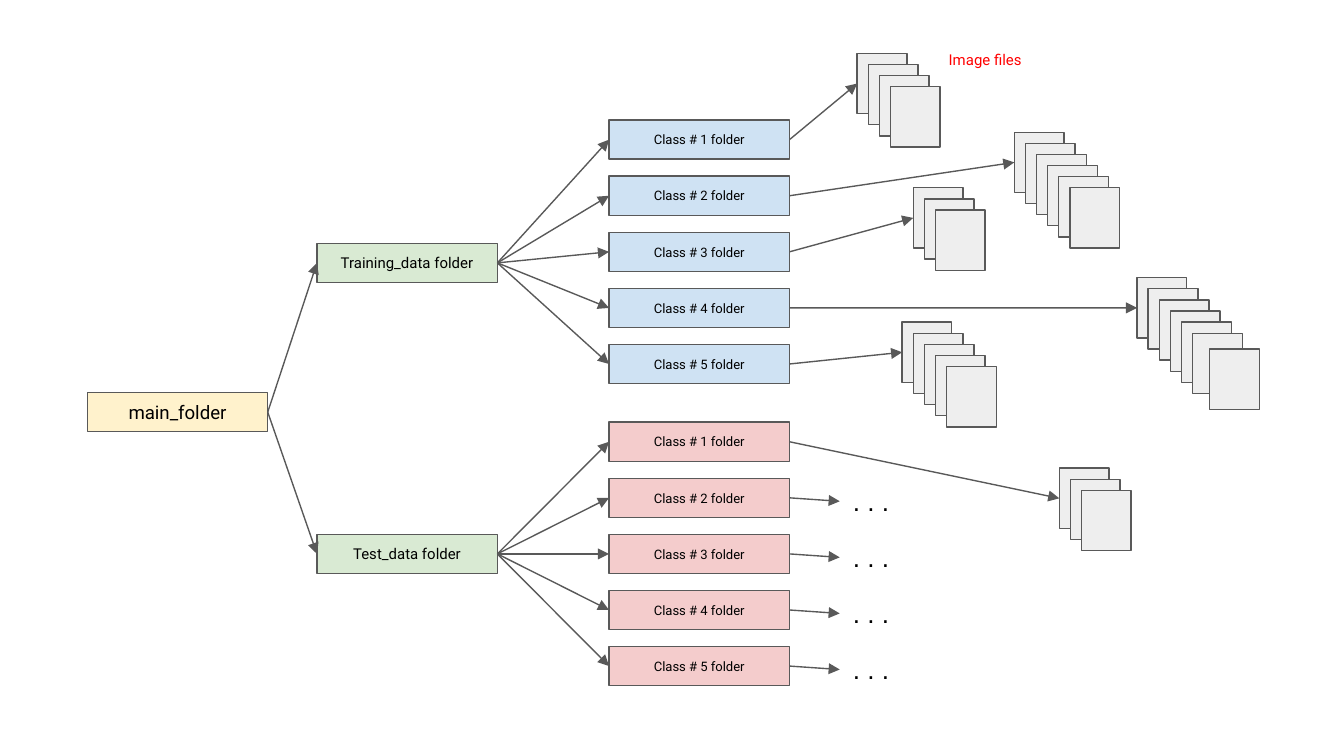
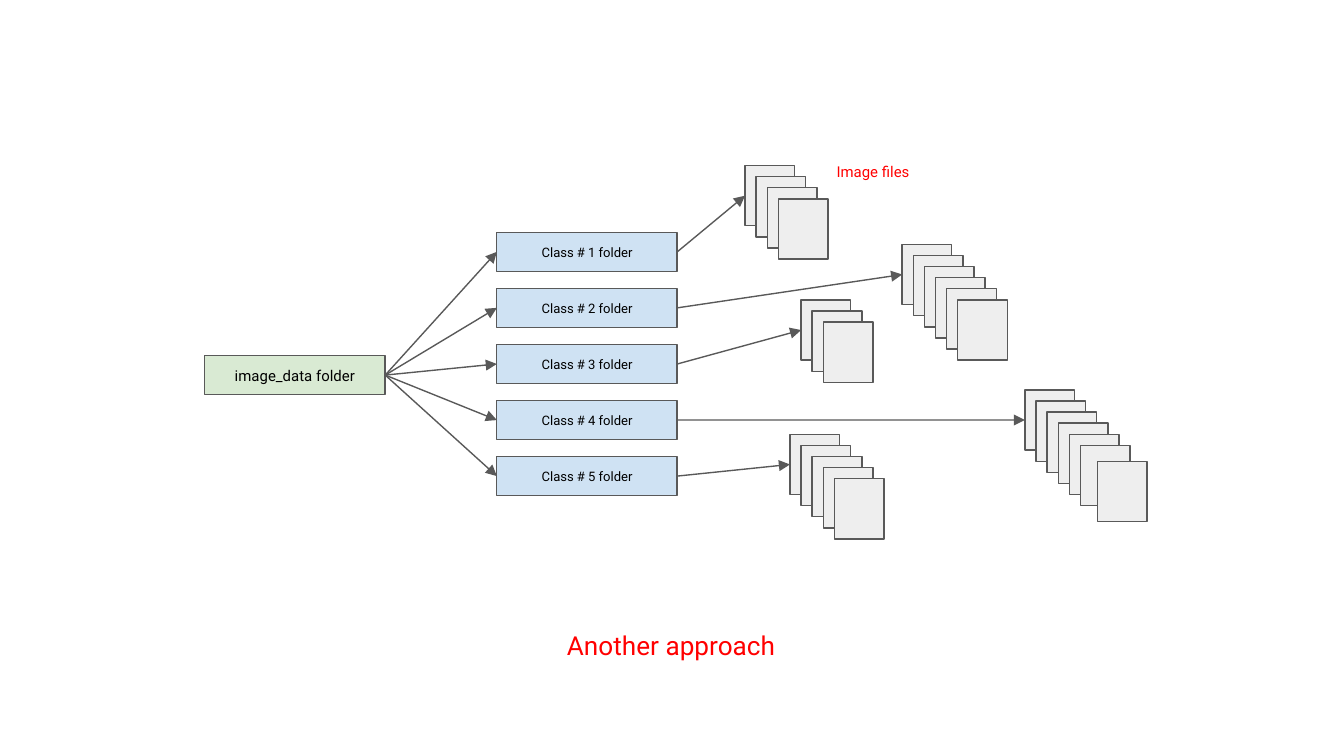
from lxml.etree import SubElement
from pptx import Presentation
from pptx.dml.color import RGBColor
from pptx.enum.shapes import MSO_CONNECTOR, MSO_SHAPE
from pptx.enum.text import MSO_ANCHOR as ANCHOR, PP_ALIGN as ALIGN
from pptx.oxml.ns import qn
from pptx.util import Cm, Pt

# Colours
GREY = RGBColor(0x59, 0x59, 0x59)
PAPER = RGBColor(0xEE, 0xEE, 0xEE)
YELLOW = RGBColor(0xFF, 0xF2, 0xCC)
GREEN = RGBColor(0xD9, 0xEA, 0xD3)
BLUE = RGBColor(0xCF, 0xE2, 0xF3)
PINK = RGBColor(0xF4, 0xCC, 0xCC)
BLACK = RGBColor(0, 0, 0)
RED = RGBColor(0xFF, 0, 0)

# Sizes in cm
FOLDER = (3.41, 0.74)
FILE = (0.94, 1.14)
CLASS_DX, CLASS_STEP = 5.52, 1.06
FILE_STEP = 0.21


def box(s, x, y, size, fill=None, text="", pt=8, color=BLACK, font="Roboto",
        align=ALIGN.CENTER, anchor=ANCHOR.MIDDLE):
    """Add a filled rectangle, or a plain text box when there is no fill."""
    area = [Cm(v) for v in (x, y, *size)]
    if fill is None:
        sp = s.shapes.add_textbox(*area)
    else:
        sp = s.shapes.add_shape(MSO_SHAPE.RECTANGLE, *area)
        sp.shadow.inherit = False
        sp.fill.solid()
        sp.fill.fore_color.rgb = fill
        sp.line.color.rgb = GREY
        sp.line.width = Pt(0.75)
    if text:
        tf = sp.text_frame
        frame = {"word_wrap": True, "vertical_anchor": anchor}
        frame |= {f"margin_{side}": Cm(0.25) for side in ("left", "top", "right", "bottom")}
        for name, value in frame.items():
            setattr(tf, name, value)
        p = tf.paragraphs[0]
        p.alignment = align
        r = p.add_run()
        r.text = text
        for name, value in {"name": font, "size": Pt(pt)}.items():
            setattr(r.font, name, value)
        r.font.color.rgb = color
    return sp


def arrow(s, source, target):
    """Join the right side of source to the left side of target."""
    cn = s.shapes.add_connector(MSO_CONNECTOR.STRAIGHT, 0, 0, 0, 0)
    cn.begin_connect(source, 3)
    cn.end_connect(target, 1)
    cn.line.color.rgb = GREY
    cn.line.width = Pt(0.75)
    SubElement(cn.line._get_or_add_ln(), qn("a:tailEnd"), type="triangle")
    SubElement(cn._element.spPr, qn("a:effectLst"))


prs = Presentation()
prs.slide_width, prs.slide_height = Cm(25.4), Cm(14.29)
split, single = [prs.slides.add_slide(prs.slide_layouts[6]) for _ in range(2)]

# Main folder of the split layout
main = box(split, 1.65, 7.42, FOLDER, YELLOW, "main_folder", 10)

# File stacks: x and y from the first class folder, number of files
train_stacks = [(4.69, -1.26, 4), (7.66, 0.23, 6), (5.75, 1.28, 3),
                (9.98, 2.98, 6), (5.54, 3.82, 5)]
test_stacks = [(8.51, 0.87, 3)]

# Trees: slide, parent, root name, root x and y, first class y, class colour, stacks
trees = [
    (split, main, "Training_data folder", 5.99, 4.6, 2.27, BLUE, train_stacks),
    (split, main, "Test_data folder", 5.99, 10.1, 7.98, PINK, test_stacks),
    (single, None, "image_data folder", 3.87, 6.72, 4.39, BLUE, train_stacks),
]

for s, parent, name, root_x, root_y, top, color, stacks in trees:
    root = box(s, root_x, root_y, FOLDER, GREEN, name)
    if parent is not None:
        arrow(s, parent, root)
    left = root_x + CLASS_DX

    # Class folders, each leading to its files or to an ellipsis
    for i in range(5):
        y = top + i * CLASS_STEP
        folder = box(s, left, y, FOLDER, color, f"Class # {i + 1} folder", 7)
        arrow(s, root, folder)
        if i < len(stacks):
            dx, dy, count = stacks[i]
            files = [box(s, left + dx + k * FILE_STEP, top + dy + k * FILE_STEP, FILE, PAPER)
                     for k in range(count)]
            arrow(s, folder, files[0])
        else:
            dots = box(s, left + 4.36, y + 0.17, (2.87, 0.53), None, ". . .", 14,
                       font="Arial", align=ALIGN.LEFT)
            arrow(s, folder, dots)

    # Front file of the largest stack, and the files label
    if stacks is train_stacks:
        box(s, left + 11.35, top + 4.33, FILE, PAPER)
        box(s, left + 6.17, top - 1.48, (2.51, FOLDER[1]), None, "Image files",
            color=RED, align=ALIGN.LEFT, anchor=ANCHOR.TOP)

# Caption of the single-folder layout
box(single, 9.6, 11.82, (6.17, 0.74), None, "Another approach", 14, RED)

prs.save("out.pptx")
